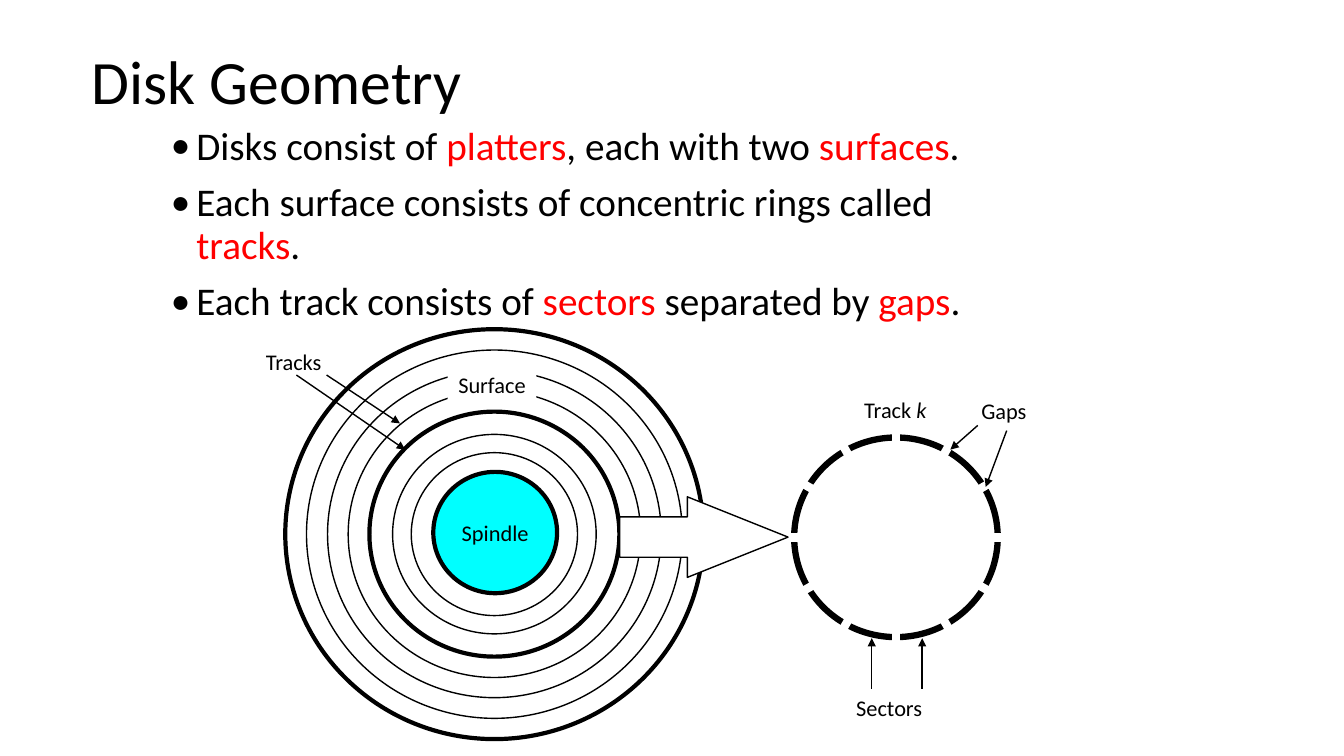
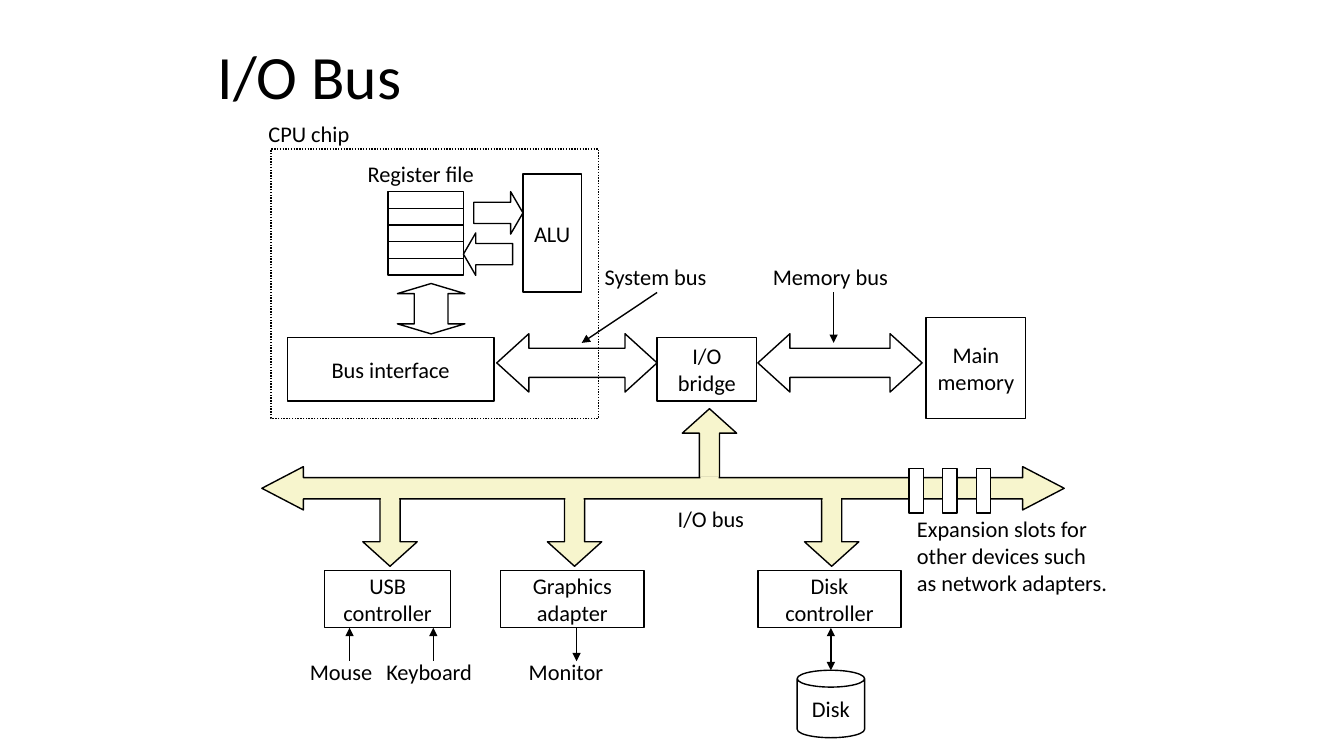
import math
from dataclasses import dataclass

import pptx
import pptx.dml.color
import pptx.enum.dml
import pptx.enum.shapes
import pptx.enum.text
import pptx.oxml
import pptx.oxml.ns
import pptx.slide
import pptx.util
from pptx.util import Cm

BLACK = pptx.dml.color.RGBColor(0x00, 0x00, 0x00)
WHITE = pptx.dml.color.RGBColor(0xFF, 0xFF, 0xFF)
RED = pptx.dml.color.RGBColor(0xFF, 0x00, 0x00)
CYAN = pptx.dml.color.RGBColor(0x00, 0xFF, 0xFF)
CREAM = pptx.dml.color.RGBColor(0xF7, 0xF5, 0xCD)

FONT = "Calibri"
TITLE_SIZE = 44
BULLET_SIZE = 28
LABEL_SIZE = 16
LABEL_HEIGHT = 0.94
LINE_SPACING = 0.9
TITLE_ONLY = 5

PRESET = pptx.enum.shapes.MSO_SHAPE
ALIGN = pptx.enum.text.PP_ALIGN
ANCHOR = pptx.enum.text.MSO_ANCHOR


def style_font(font, size, color=BLACK):
    font.name = FONT
    font.size = pptx.util.Pt(size)
    font.color.rgb = color


def append_element(parent, tag, attributes=""):
    parent.append(pptx.oxml.parse_xml(
        f'<a:{tag} {pptx.oxml.ns.nsdecls("a")} {attributes}/>'))


def write_label(frame, text, align):
    frame.word_wrap = False
    frame.vertical_anchor = ANCHOR.MIDDLE
    frame.text = text
    for paragraph in frame.paragraphs:
        paragraph.alignment = align
        for run in paragraph.runs:
            style_font(run.font, LABEL_SIZE)


@dataclass
class Region:
    slide: pptx.slide.Slide
    left: float
    top: float

    def box(self, x, y, width, height):
        return Cm(self.left + x), Cm(self.top + y), Cm(width), Cm(height)

    def shape(self, preset, x, y, width, height, text="", fill=None,
              weight=1, adjustments=()):
        shape = self.slide.shapes.add_shape(preset, *self.box(x, y, width, height))
        shape.shadow.inherit = False
        for index, value in enumerate(adjustments):
            shape.adjustments[index] = value
        if fill is None:
            shape.fill.background()
        else:
            shape.fill.solid()
            shape.fill.fore_color.rgb = fill
        if weight:
            shape.line.color.rgb = BLACK
            shape.line.width = pptx.util.Pt(weight)
        else:
            shape.line.fill.background()
        if text:
            write_label(shape.text_frame, text, ALIGN.CENTER)
        return shape

    def ellipse(self, x, y, width, height, **style):
        return self.shape(PRESET.OVAL, x - width / 2, y - height / 2,
                          width, height, **style)

    def label(self, text, x, y, width, height=LABEL_HEIGHT, align=ALIGN.CENTER):
        label = self.slide.shapes.add_textbox(*self.box(x, y, width, height))
        write_label(label.text_frame, text, align)
        return label

    def line(self, start, end, ends=("tailEnd",), color=BLACK, weight=1):
        x1, y1 = start
        x2, y2 = end
        connector = self.slide.shapes.add_connector(
            pptx.enum.shapes.MSO_CONNECTOR.STRAIGHT,
            Cm(self.left + x1), Cm(self.top + y1),
            Cm(self.left + x2), Cm(self.top + y2))
        connector.line.color.rgb = color
        connector.line.width = pptx.util.Pt(weight)
        properties = connector._element.spPr
        outline = properties.find(pptx.oxml.ns.qn("a:ln"))
        for end_name in ends:
            append_element(outline, end_name, 'type="triangle"')
        append_element(properties, "effectLst")


def add_titled_slide(deck, text, left, top, width, height):
    slide = deck.slides.add_slide(deck.slide_layouts[TITLE_ONLY])
    title = slide.shapes.title
    title.left, title.top = Cm(left), Cm(top)
    title.width, title.height = Cm(width), Cm(height)
    title.text_frame.text = text
    title.text_frame.vertical_anchor = ANCHOR.MIDDLE
    heading = title.text_frame.paragraphs[0]
    heading.alignment = ALIGN.LEFT
    heading.line_spacing = LINE_SPACING
    style_font(heading.runs[0].font, TITLE_SIZE)
    return slide


def add_bullets(slide, left, top, width, height, bullets):
    region = Region(slide, left, top)
    frame = slide.shapes.add_textbox(*region.box(0, 0, width, height)).text_frame
    frame.word_wrap = True
    for index, pieces in enumerate(bullets):
        paragraph = frame.add_paragraph() if index else frame.paragraphs[0]
        properties = paragraph._p.get_or_add_pPr()
        properties.set("marL", str(Cm(0.64)))
        properties.set("indent", str(Cm(-0.64)))
        append_element(properties, "buFont", f'typeface="{FONT}"')
        append_element(properties, "buChar", 'char="•"')
        paragraph.line_spacing = LINE_SPACING
        if index:
            paragraph.space_before = pptx.util.Pt(10)
        for position, piece in enumerate(pieces):
            run = paragraph.add_run()
            run.text = piece
            style_font(run.font, BULLET_SIZE, RED if position % 2 else BLACK)


def draw_platter(slide, left, top):
    region = Region(slide, left, top)
    center = (6.06, 5.16)
    flatness = 0.98
    rings = [(10.54, 3), (9.47, 1), (8.41, 1), (7.37, 1),
             (6.3, 3), (5.13, 1), (4.19, 1)]
    for diameter, weight in rings:
        region.ellipse(*center, diameter, diameter * flatness, weight=weight)
    region.ellipse(6.08, 5.12, 3.12, 3.12 * flatness, text="Spindle",
                   fill=CYAN, weight=3)
    region.shape(PRESET.RECTANGLE, 4.88, 0.92, 2.24, LABEL_HEIGHT,
                 text="Surface", fill=WHITE, weight=0)
    region.label("Tracks", 0, 0.34, 2)
    region.line((1.07, 1.15), (3.81, 3.03))
    region.line((1.83, 1.15), (3.68, 2.37))
    region.shape(PRESET.RIGHT_ARROW, 9.22, 4.22, 4.24, 2.03,
                 fill=WHITE, adjustments=(0.5, 1.25))


def draw_track(slide, left, top):
    region = Region(slide, left, top)
    center_x, center_y = 2.58, 3.74
    gap_count, gap_reach = 12, 2.75
    region.ellipse(center_x, center_y, 5.13, 5.03, weight=4.5)
    for gap in range(gap_count):
        angle = 2 * math.pi * gap / gap_count
        rim = (center_x + gap_reach * math.cos(angle),
               center_y + gap_reach * math.sin(angle))
        region.line((center_x, center_y), rim, ends=(), color=WHITE, weight=6)

    track_label = region.label("Track ", 1.51, 0.06, 2.11)
    track_number = track_label.text_frame.paragraphs[0].add_run()
    track_number.text = "k"
    style_font(track_number.font, LABEL_SIZE)
    track_number.font.italic = True

    region.label("Gaps", 4.46, 0.08, 1.68)
    region.line((4.64, 0.92), (3.95, 1.53))
    region.line((5.37, 1.05), (4.84, 2.47))
    region.label("Sectors", 1.29, 7.55, 2.24)
    for x in (1.97, 3.24):
        region.line((x, 7.55), (x, 6.28))


def draw_cpu_chip(slide, left, top):
    region = Region(slide, left, top)
    chip = region.shape(PRESET.RECTANGLE, 0.33, 0.86, 8.26, 6.78)
    chip.line.dash_style = pptx.enum.dml.MSO_LINE.ROUND_DOT
    region.label("CPU chip", 0, 0, 2.57)
    region.label("Register file", 2.49, 1.01, 3.23)
    register_height = 0.42
    for register in range(5):
        region.shape(PRESET.RECTANGLE, 3.28, 1.93 + register * register_height,
                     1.9, register_height)
    region.shape(PRESET.RIGHT_ARROW, 5.44, 1.93, 1.24, 1.07, adjustments=(0.5, 0.29))
    region.shape(PRESET.LEFT_ARROW, 5.18, 2.97, 1.24, 1.07, adjustments=(0.5, 0.29))
    region.shape(PRESET.RECTANGLE, 6.68, 1.49, 1.47, 2.97, text="ALU")
    register_link = region.shape(PRESET.LEFT_RIGHT_ARROW, 3.73, 4.03, 1.27, 1.7,
                                 adjustments=(0.5, 0.2))
    register_link.rotation = 90
    region.shape(PRESET.RECTANGLE, 0.74, 5.61, 5.21, 1.6, text="Bus interface")


def draw_memory_path(slide, left, top):
    region = Region(slide, left, top)
    for x, width in ((0.02, 4.04), (6.6, 4.14)):
        region.shape(PRESET.LEFT_RIGHT_ARROW, x, 1.91, width, 1.47,
                     adjustments=(0.5, 0.55))
    region.shape(PRESET.RECTANGLE, 4.06, 2.01, 2.51, 1.6, text="I/O\nbridge")
    region.shape(PRESET.RECTANGLE, 10.84, 1.5, 2.51, 2.54, text="Main\nmemory")
    region.label("System bus", 2.46, 0, 3.12)
    region.line((4.06, 0.87), (2.16, 2.14))
    region.label("Memory bus", 6.7, 0, 3.45)
    region.line((8.51, 0.87), (8.51, 2.14))


def draw_io_bus(slide, left, top):
    region = Region(slide, left, top)
    branch_width, branch_height = 1.37, 1.9
    joint_width, joint_height = 0.46, 0.43
    up, down = PRESET.UP_ARROW, PRESET.DOWN_ARROW
    branches = [(up, 11.28, 0, 1.71), (down, 3.23, 2.07, 1.9),
                (down, 7.88, 2.07, 1.9), (down, 14.36, 2.07, 1.9)]
    for direction, x, y, _ in branches:
        region.shape(direction, x - branch_width / 2, y, branch_width,
                     branch_height, fill=CREAM, adjustments=(0.37, 0.45))
    region.shape(PRESET.LEFT_RIGHT_ARROW, 0, 1.46, 20.22, 1.09,
                 fill=CREAM, adjustments=(0.49, 0.96))
    for _, x, _, joint_y in branches:
        region.shape(PRESET.RECTANGLE, x - joint_width / 2, joint_y,
                     joint_width, joint_height, fill=CREAM, weight=0)
    region.label("I/O bus", 10.21, 2.3, 2.21)

    for slot in range(3):
        region.shape(PRESET.RECTANGLE, 16.31 + slot * 0.85, 1.51, 0.36, 1.12,
                     fill=WHITE)
    region.label("Expansion slots for\nother devices such\nas network adapters.",
                 16.26, 2.55, 5.36, 2.31, align=ALIGN.LEFT)

    for text, x, width in (("USB\ncontroller", 1.58, 3.18),
                           ("Graphics\nadapter", 6.02, 3.61),
                           ("Disk\ncontroller", 12.5, 3.61)):
        region.shape(PRESET.RECTANGLE, x, 4.07, width, 1.45, text=text)
    for text, label_x, width, arrow_x, end in (
            ("Mouse", 0.94, 2.11, 2.21, "headEnd"),
            ("Keyboard", 2.87, 2.69, 4.32, "headEnd"),
            ("Monitor", 6.46, 2.41, 7.93, "tailEnd")):
        region.line((arrow_x, 5.52), (arrow_x, 6.36), ends=(end,))
        region.label(text, label_x, 6.16, width)
    region.line((14.34, 5.52), (14.34, 6.59), ends=("headEnd", "tailEnd"))
    region.shape(PRESET.CAN, 13.49, 6.59, 1.7, 1.7, text="Disk",
                 adjustments=(0.25,))


def build_disk_geometry(deck):
    slide = add_titled_slide(deck, "Disk Geometry", 2.06, 0.28, 29.21, 3.68)
    add_bullets(slide, 4.06, 3.07, 21.95, 5.2, [
        ("Disks consist of ", "platters", ", each with two ", "surfaces", "."),
        ("Each surface consists of concentric rings called ", "tracks", "."),
        ("Each track consists of ", "sectors", " separated by ", "gaps", "."),
    ])
    draw_track(slide, 20, 9.8)
    draw_platter(slide, 6.4, 8.3)


def build_io_bus(deck):
    slide = add_titled_slide(deck, "I/O Bus", 5.23, 0.94, 21.08, 2.11)
    draw_cpu_chip(slide, 6.5, 2.9)
    draw_memory_path(slide, 12.5, 6.5)
    draw_io_bus(slide, 6.6, 10.3)


def main():
    deck = pptx.Presentation()
    deck.slide_width, deck.slide_height = Cm(33.87), Cm(19.05)
    build_disk_geometry(deck)
    build_io_bus(deck)
    deck.save("out.pptx")


if __name__ == "__main__":
    main()
